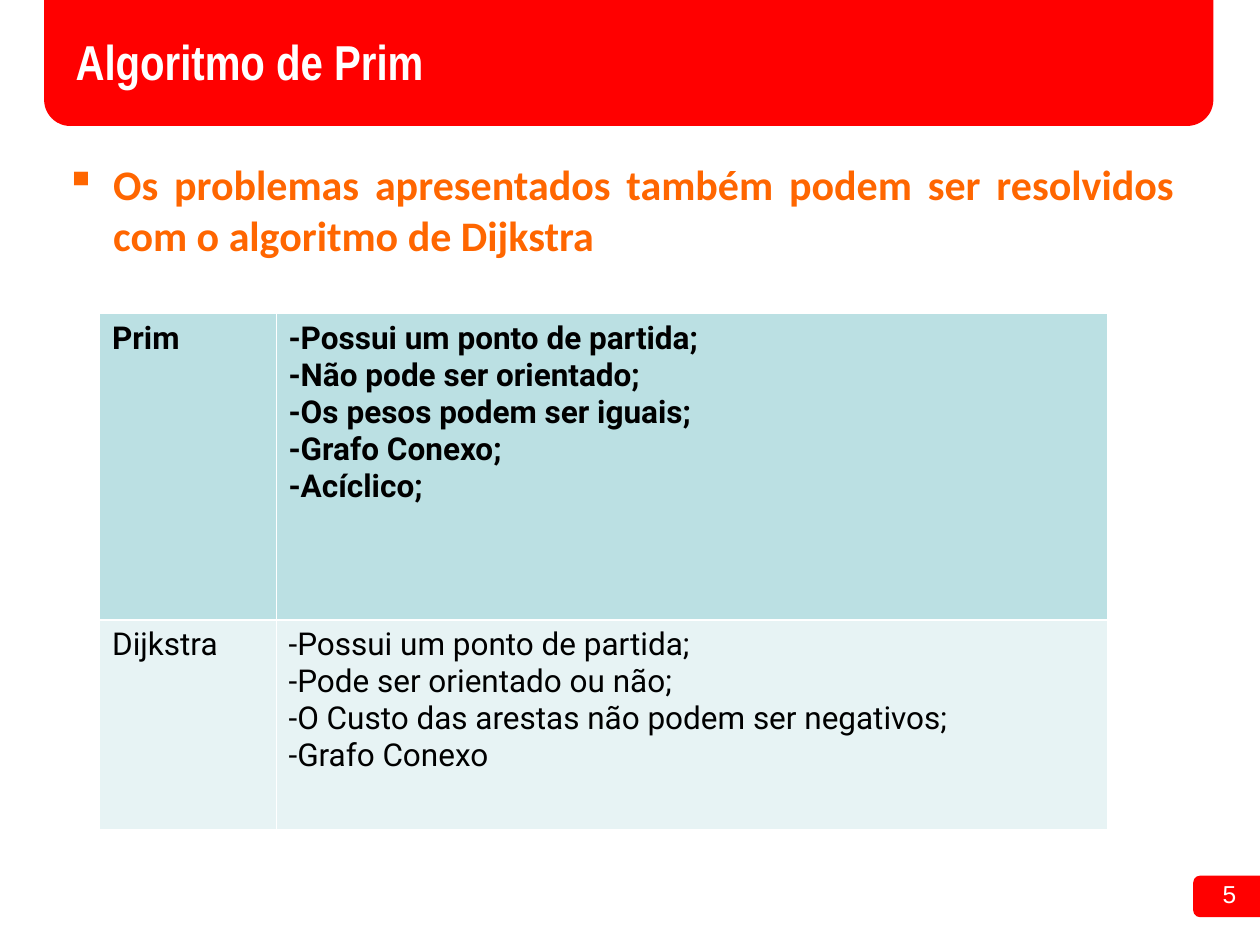
from typing import NamedTuple

from lxml.etree import SubElement
from pptx import Presentation
from pptx.dml.color import RGBColor
from pptx.enum.shapes import MSO_SHAPE as Shape
from pptx.enum.text import MSO_ANCHOR as Anchor, PP_ALIGN as Align
from pptx.oxml.ns import qn
from pptx.util import Inches, Pt

RED = RGBColor(0xFF, 0x00, 0x00)
ORANGE = RGBColor(0xFF, 0x66, 0x00)
WHITE = RGBColor(0xFF, 0xFF, 0xFF)
BLACK = RGBColor(0x00, 0x00, 0x00)
TEAL = RGBColor(0xBB, 0xE0, 0xE3)
PALE = RGBColor(0xE7, 0xF3, 0xF4)

THIN, THICK = 0.45, 1.47


class Box(NamedTuple):
    left: float
    top: float
    width: float
    height: float

    def place(self) -> list:
        return [Inches(n) for n in self]


class Row(NamedTuple):
    name: str
    traits: list[str]
    height: float
    fill: RGBColor
    bold: bool


BARS = [Box(9.47, 6.95, 0.7, 0.33), Box(0.35, -0.25, 9.28, 1.25)]
WIDTHS = [1.4, 6.6]
ROWS = [
    Row("Prim", ["-Possui um ponto de partida;", "-Não pode ser orientado;",
                 "-Os pesos podem ser iguais;", "-Grafo Conexo;", "-Acíclico;"],
        2.43, TEAL, True),
    Row("Dijkstra", ["-Possui um ponto de partida;", "-Pode ser orientado ou não;",
                     "-O Custo das arestas não podem ser negativos;", "-Grafo Conexo"],
        1.66, PALE, False),
]


def set_font(para, name: str, size: float, color: RGBColor, bold: bool = False) -> None:
    font = para.font
    font.name, font.size, font.bold = name, Pt(size), bold
    font.color.rgb = color


def add_bar(slide, box: Box) -> None:
    bar = slide.shapes.add_shape(Shape.ROUNDED_RECTANGLE, *box.place())
    bar.shadow.inherit = False
    bar.fill.solid()
    bar.fill.fore_color.rgb = RED
    bar.line.fill.background()


def add_text(slide, box: Box, text: str, align: Align):
    frame = slide.shapes.add_textbox(*box.place()).text_frame
    frame.word_wrap = True
    para = frame.paragraphs[0]
    para.text, para.alignment = text, align
    return para


def add_bullet(para, mark: str, color: RGBColor, indent: float) -> None:
    props = para._p.get_or_add_pPr()
    props.set("marL", str(Inches(indent)))
    props.set("indent", str(-Inches(indent)))
    tint = SubElement(props, qn("a:buClr"))
    SubElement(tint, qn("a:srgbClr"), val=str(color))
    SubElement(props, qn("a:buChar"), char=mark)


def set_edges(cell, top: float, bottom: float) -> None:
    """Draw white cell borders; call before the cell is filled."""
    props = cell._tc.get_or_add_tcPr()
    for side, size in zip("LRTB", (THIN, THIN, top, bottom)):
        line = SubElement(props, qn(f"a:ln{side}"), w=str(Pt(size)))
        paint = SubElement(line, qn("a:solidFill"))
        SubElement(paint, qn("a:srgbClr"), val=str(WHITE))


def add_grid(slide, left: float, top: float) -> None:
    box = Box(left, top, sum(WIDTHS), sum(row.height for row in ROWS))
    grid = slide.shapes.add_table(len(ROWS), len(WIDTHS), *box.place()).table
    for col, width in zip(grid.columns, WIDTHS):
        col.width = Inches(width)
    last = len(ROWS) - 1
    for i, row in enumerate(ROWS):
        grid.rows[i].height = Inches(row.height)
        for cell, lines in zip(grid.rows[i].cells, ([row.name], row.traits)):
            set_edges(cell, THICK if i else THIN, THICK if i < last else THIN)
            cell.fill.solid()
            cell.fill.fore_color.rgb = row.fill
            cell.text = "\n".join(lines)
            for para in cell.text_frame.paragraphs:
                set_font(para, "Roboto", 18, BLACK, row.bold)


def set_title(slide, box: Box, text: str) -> None:
    title = slide.shapes.title
    title.left, title.top, title.width, title.height = box.place()
    slide.shapes._spTree.append(title._element)  # in front of the bars
    frame = title.text_frame
    frame.text = text
    frame.vertical_anchor = Anchor.MIDDLE
    para = frame.paragraphs[0]
    para.alignment = Align.LEFT
    set_font(para, "Arial Narrow", 28, WHITE, True)


def main() -> None:
    deck = Presentation()
    deck.slide_width, deck.slide_height = Inches(10), Inches(7.5)
    slide = deck.slides.add_slide(deck.slide_layouts.get_by_name("Title Only"))

    for bar in BARS:
        add_bar(slide, bar)
    page = add_text(slide, Box(9.08, 6.93, 0.83, 0.34), "5", Align.RIGHT)
    set_font(page, "Arial", 14, WHITE)
    set_title(slide, Box(0.5, 0.28, 8.95, 0.4), "Algoritmo de Prim")

    body = add_text(
        slide, Box(0.42, 1.21, 9, 1.39),
        "Os problemas apresentados também podem ser resolvidos "
        "com o algoritmo de Dijkstra", Align.JUSTIFY)
    add_bullet(body, "▪", ORANGE, 0.38)
    set_font(body, "Calibri", 24, ORANGE, True)

    add_grid(slide, 0.79, 2.49)
    deck.save("out.pptx")


if __name__ == "__main__":
    main()
